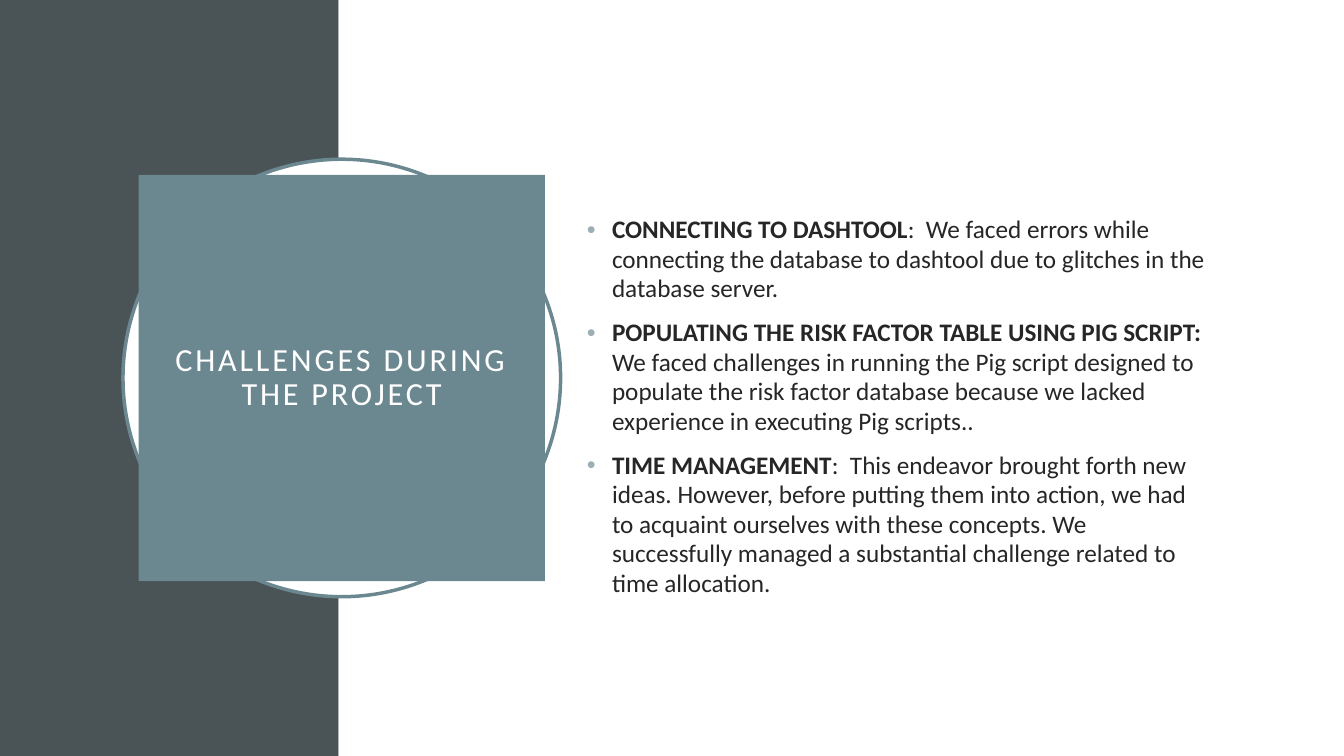
import pptx
import pptx.util
import pptx.dml.color
import pptx.enum.shapes
import pptx.enum.text
import pptx.oxml.ns
from lxml import etree

TITLE = "CHALLENGES DURING THE PROJECT"
CHALLENGES = [
    ("CONNECTING TO DASHTOOL",
     ":  We faced errors while connecting the database to dashtool due to "
     "glitches in the database server."),
    ("POPULATING THE RISK FACTOR TABLE USING PIG SCRIPT: ",
     "We faced challenges in running the Pig script designed to populate the "
     "risk factor database because we lacked experience in executing Pig scripts.."),
    ("TIME MANAGEMENT",
     ":  This endeavor brought forth new ideas. However, before putting them into "
     "action, we had to acquaint ourselves with these concepts. We successfully "
     "managed a substantial challenge related to time allocation."),
]
SLATE, TEAL, PALE, INK, WHITE = "4A5356", "6B8891", "9BAFB5", "262626", "FFFFFF"
WIDTH, HEIGHT = 13.33, 7.5
BAND = 3.36
CENTER_X, CENTER_Y = 3.39, HEIGHT / 2
RING, BADGE = 4.34, 4.03
BODY = (5.72, 1.36, 6.39, 5.35)

Inches, Pt = pptx.util.Inches, pptx.util.Pt
SHAPE = pptx.enum.shapes.MSO_SHAPE
TEXT = pptx.enum.text


def color(value):
    return pptx.dml.color.RGBColor.from_string(value)


def centered(size):
    """Square box around the badge's centre."""
    return CENTER_X - size / 2, CENTER_Y - size / 2, size, size


def add_panel(s, kind, box, fill, line=None):
    sp = s.shapes.add_shape(kind, *map(Inches, box))
    sp.shadow.inherit = False
    sp.fill.solid()
    sp.fill.fore_color.rgb = color(fill)
    if line:
        sp.line.color.rgb = color(line)
        sp.line.width = Pt(2.5)
    else:
        sp.line.fill.background()


def add_run(p, text, size=18, ink=INK, bold=False, spacing=0):
    r = p.add_run()
    r.text = text
    r.font.name, r.font.size, r.font.bold = "Calibri", Pt(size), bold
    r.font.color.rgb = color(ink)
    if spacing:
        r.font._element.set("spc", str(spacing * 100))


def place(s, sp, box):
    """Position a placeholder in front of the panels and return its text frame."""
    sp.left, sp.top, sp.width, sp.height = map(Inches, box)
    s.shapes.element.append(sp.element)
    tf = sp.text_frame
    tf.word_wrap = True
    tf.auto_size = TEXT.MSO_AUTO_SIZE.NONE
    tf.vertical_anchor = TEXT.MSO_ANCHOR.MIDDLE
    return tf


def add_bullet(p):
    pPr = p._p.get_or_add_pPr()
    pPr.set("marL", str(Inches(0.25)))
    pPr.set("indent", str(Inches(-0.25)))
    qn = pptx.oxml.ns.qn
    etree.SubElement(etree.SubElement(pPr, qn("a:buClr")), qn("a:srgbClr"), val=PALE)
    etree.SubElement(pPr, qn("a:buFont"), typeface="Arial")
    etree.SubElement(pPr, qn("a:buChar"), char="•")


def main():
    prs = pptx.Presentation()
    prs.slide_width, prs.slide_height = Inches(WIDTH), Inches(HEIGHT)
    s = prs.slides.add_slide(prs.slide_layouts[1])
    title, body = s.placeholders

    add_panel(s, SHAPE.RECTANGLE, (0, 0, BAND, HEIGHT), SLATE)
    add_panel(s, SHAPE.RECTANGLE, (BAND, 0, WIDTH - BAND, HEIGHT), WHITE)
    add_panel(s, SHAPE.OVAL, centered(RING), WHITE, line=TEAL)

    tf = place(s, title, centered(BADGE))
    title.fill.solid()
    title.fill.fore_color.rgb = color(TEAL)
    tf.margin_left = tf.margin_right = tf.margin_top = tf.margin_bottom = Inches(0.2)
    p = tf.paragraphs[0]
    p.alignment = TEXT.PP_ALIGN.CENTER
    p.line_spacing = 0.9
    add_run(p, TITLE, size=23, ink=WHITE, spacing=2)

    tf = place(s, body, BODY)
    for i, (heading, detail) in enumerate(CHALLENGES):
        p = tf.add_paragraph() if i else tf.paragraphs[0]
        add_bullet(p)
        p.space_before = Pt(10 if i else 0)
        p.line_spacing = 0.98
        add_run(p, heading, bold=True)
        add_run(p, detail)

    prs.save("out.pptx")


if __name__ == "__main__":
    main()
